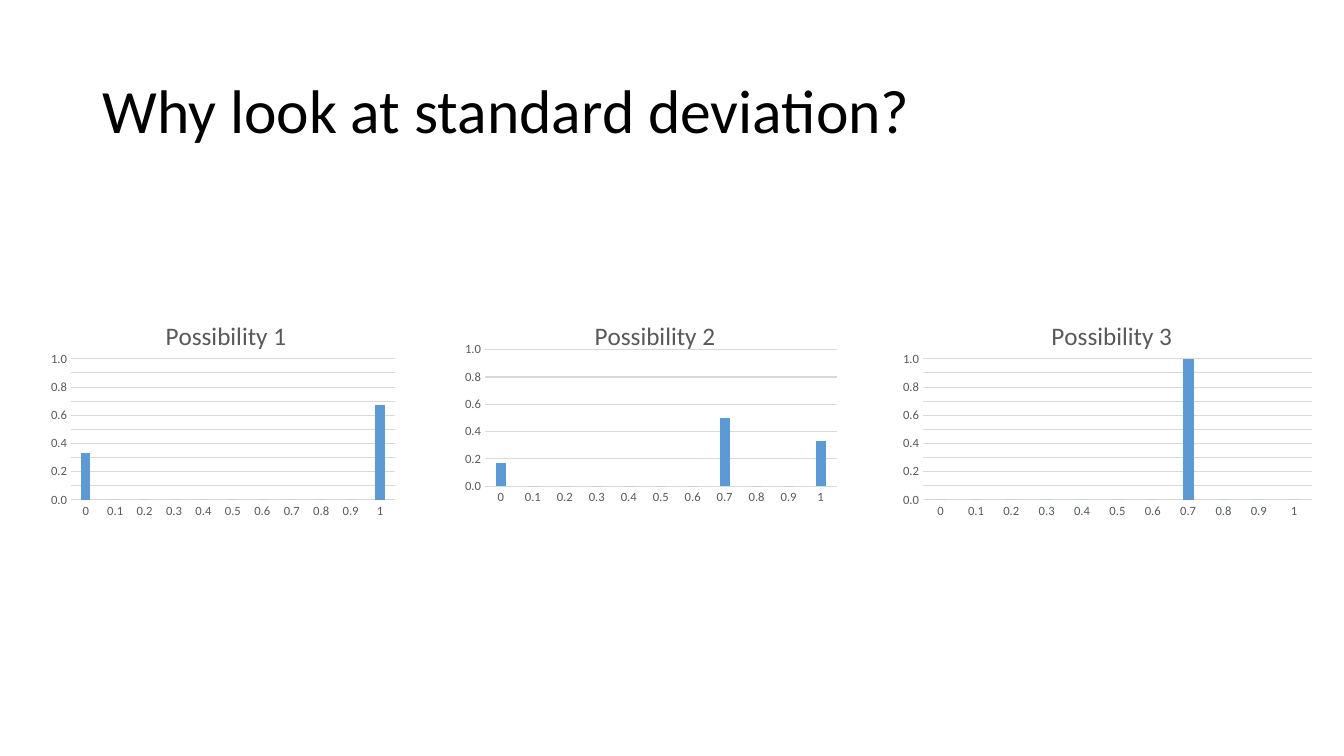
"""Build a slide comparing three distributions as column charts."""
from lxml import etree
from pptx import Presentation
from pptx import util as u
from pptx.chart import data
from pptx.dml.color import RGBColor
from pptx.enum import chart as ch, text
from pptx.oxml import ns

HUES = {"ink": "000000", "gray": "595959", "grid": "D9D9D9", "bar": "5B9BD5"}


def style(font, size, hue):
    """Set the face, size and colour of a font."""
    font.name, font.size, font.bold = "Calibri", u.Pt(size), False
    font.color.rgb = RGBColor.from_string(HUES[hue])


def place(node, spot, **vals):
    """Give a chart part a manual layout at a child index."""
    for old in node.findall(ns.qn("c:layout")):
        node.remove(old)
    box = etree.Element(ns.qn("c:layout"))
    man = etree.SubElement(box, ns.qn("c:manualLayout"))
    for tag, val in vals.items():
        etree.SubElement(man, ns.qn(f"c:{tag}")).set("val", str(val))
    node.insert(spot, box)


deck = Presentation()
deck.slide_width, deck.slide_height = u.Pt(960), u.Pt(540)
slide = deck.slides.add_slide(deck.slide_layouts[6])

head = slide.shapes.add_textbox(u.Pt(66), u.Pt(28.75), u.Pt(828), u.Pt(104.4))
frame = head.text_frame
frame.word_wrap = True
frame.vertical_anchor = text.MSO_ANCHOR.MIDDLE
para = frame.paragraphs[0]
para.line_spacing = 0.9
run = para.add_run()
run.text = "Why look at standard deviation?"
style(run.font, 44, "ink")

cats = [f"{n / 10:g}" for n in range(11)]
plots = [
    (30.2, 257, {0: 0.33, 10: 0.67}, "0.0", 0.1, (0.08, 0.27, 0.9, 0.62)),
    (320.4, 288.7, {0: 0.17, 7: 0.5, 10: 0.33}, "#,##0.0", 0.2, (0.09, 0.23, 0.87, 0.6)),
    (637.9, 305.3, {7: 1}, "#,##0.0", 0.1, (0.07, 0.27, 0.91, 0.62)),
]
for num, (left, wide, bars, fmt, step, area) in enumerate(plots, 1):
    info = data.CategoryChartData()
    info.categories = cats
    info.add_series("Series 1", [bars.get(n, 0) for n in range(11)])
    chart = slide.shapes.add_chart(
        ch.XL_CHART_TYPE.COLUMN_CLUSTERED,
        u.Pt(left), u.Pt(212.4), u.Pt(wide), u.Pt(162.7), info).chart
    style(chart.font, 10, "ink")
    chart.has_legend = False

    run = chart.chart_title.text_frame.paragraphs[0].add_run()
    run.text = f"Possibility {num}"
    style(run.font, 18, "gray")
    chart.chart_title.include_in_layout = False
    title = chart.chart_title._element
    place(title, 1, xMode="edge", yMode="edge", x=round(0.5 - 43 / wide, 2), y=0.07)

    x, y, w, h = area
    place(chart._chartSpace.chart.plotArea, 0, layoutTarget="inner",
          xMode="edge", yMode="edge", x=x, y=y, w=w, h=h)

    plot = chart.plots[0]
    plot.gap_width, plot.overlap, plot.vary_by_categories = 219, -27, False
    fill = plot.series[0].format.fill
    fill.solid()
    fill.fore_color.rgb = RGBColor.from_string(HUES["bar"])

    base, side = chart.category_axis, chart.value_axis
    for axis in (base, side):
        axis.major_tick_mark = axis.minor_tick_mark = ch.XL_TICK_MARK.NONE
        style(axis.tick_labels.font, 9, "gray")
    side.has_major_gridlines = True
    for line in (base.format.line, side.major_gridlines.format.line):
        line.width = u.Pt(0.75)
        line.color.rgb = RGBColor.from_string(HUES["grid"])
    side.format.line.fill.background()
    side.minimum_scale, side.maximum_scale, side.major_unit = 0, 1, step
    side.tick_labels.number_format = fmt
    side.tick_labels.number_format_is_linked = False

deck.save("out.pptx")
